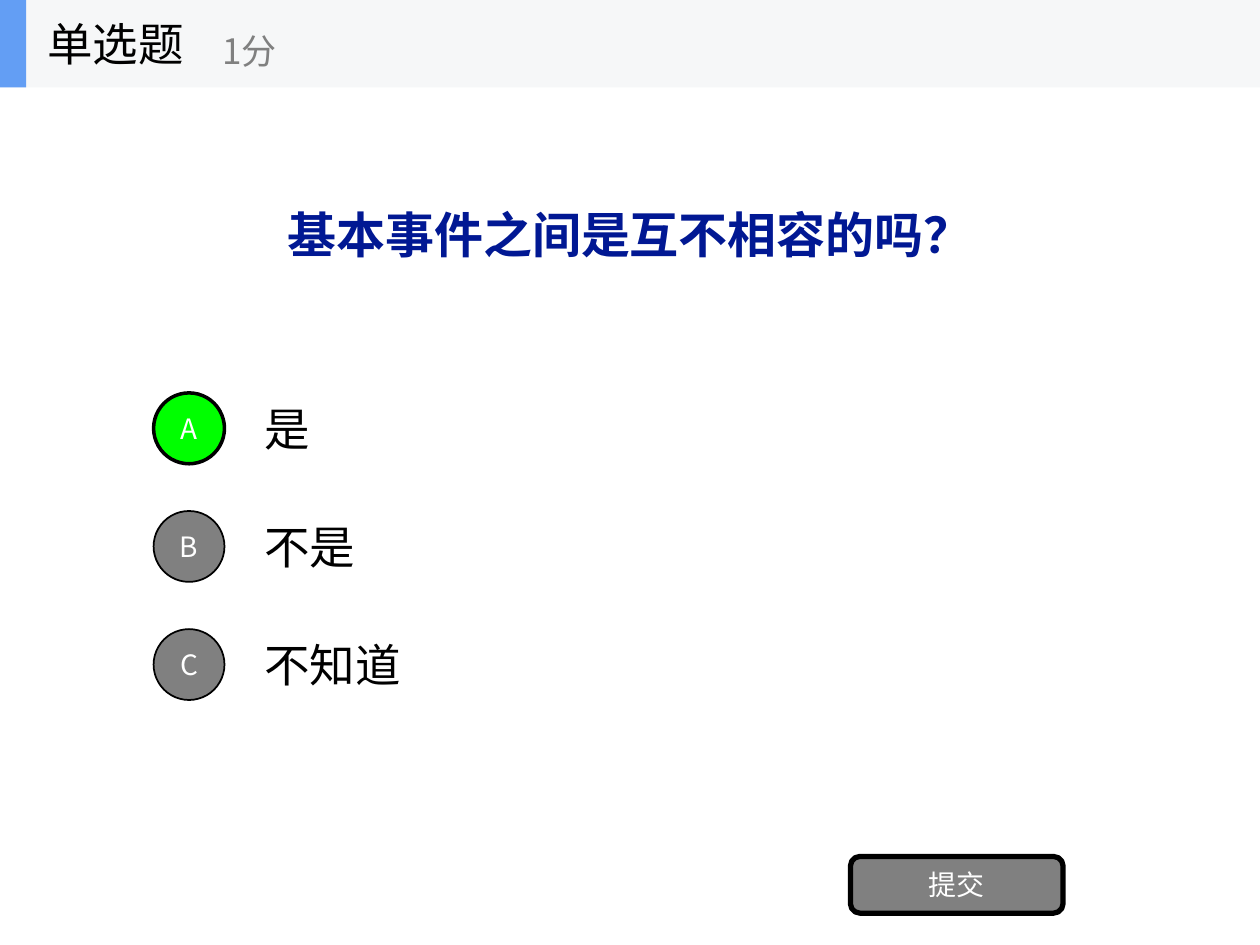
"""Build a single-choice quiz slide with three options and a submit button."""
from lxml import etree
from pptx import Presentation
from pptx.dml.color import RGBColor
from pptx.enum import shapes, text
from pptx.oxml.ns import qn
from pptx.util import Pt

SANS = "Noto Sans CJK SC"
KIND = shapes.MSO_SHAPE


def write(box, words, size, color, align=text.PP_ALIGN.LEFT, name=SANS, bold=False):
    frame = box.text_frame
    frame.word_wrap = True
    frame.vertical_anchor = text.MSO_ANCHOR.MIDDLE
    para = frame.paragraphs[0]
    para.alignment = align
    span = para.add_run()
    span.text = words
    formats = {"size": Pt(size), "name": name, "bold": bold}
    for key, value in formats.items():
        setattr(span.font, key, value)
    span.font.color.rgb = RGBColor.from_string(color)
    etree.SubElement(span.font._element, qn("a:ea"), typeface=SANS)


def draw(kind, place, fill, border=0):
    shape = page.shapes.add_shape(kind, *map(Pt, place))
    shape.shadow.inherit = False
    shape.fill.solid()
    shape.fill.fore_color.rgb = RGBColor.from_string(fill)
    if border:
        shape.line.width = Pt(border)
        shape.line.color.rgb = RGBColor.from_string("000000")
    else:
        shape.line.fill.background()
    return shape


deck = Presentation()
deck.slide_width, deck.slide_height = Pt(720), Pt(540)
page = deck.slides.add_slide(deck.slide_layouts[6])
center = text.PP_ALIGN.CENTER

question = page.shapes.add_textbox(Pt(72), Pt(49.7), Pt(576), Pt(168.5))
write(question, "基本事件之间是互不相容的吗？", 28, "011893", center, "Times New Roman", True)

options = [("A", "是", "00FF00", 2), ("B", "不是", "808080", 1), ("C", "不知道", "808080", 1)]
for row, (letter, answer, fill, border) in enumerate(options):
    top = 219.5 + 67.5 * row
    box = page.shapes.add_textbox(Pt(144), Pt(top), Pt(504), Pt(50.4))
    write(box, answer, 26, "000000")
    badge = draw(KIND.OVAL, (87.75, top + 5, 40.5, 40.5), fill, border)
    frame = badge.text_frame
    for side in ("left", "right", "top", "bottom"):
        setattr(frame, f"margin_{side}", 0)
    write(badge, letter, 16, "FFFFFF", center)

button = draw(KIND.ROUNDED_RECTANGLE, (486, 489.4, 121.5, 32.4), "808080", 3)
write(button, "提交", 16, "FFFFFF", center)

draw(KIND.RECTANGLE, (0, 0, 720, 50), "F6F7F8")
draw(KIND.RECTANGLE, (0, 0, 15, 50), "639EF4")
header = [
    ("单选题", (20, 0, 150, 50), 26, "000000"),
    ("1分", (120, 8.5, 180, 40.5), 20, "808080"),
]
for words, place, size, color in header:
    write(page.shapes.add_textbox(*map(Pt, place)), words, size, color)

deck.save("out.pptx")
